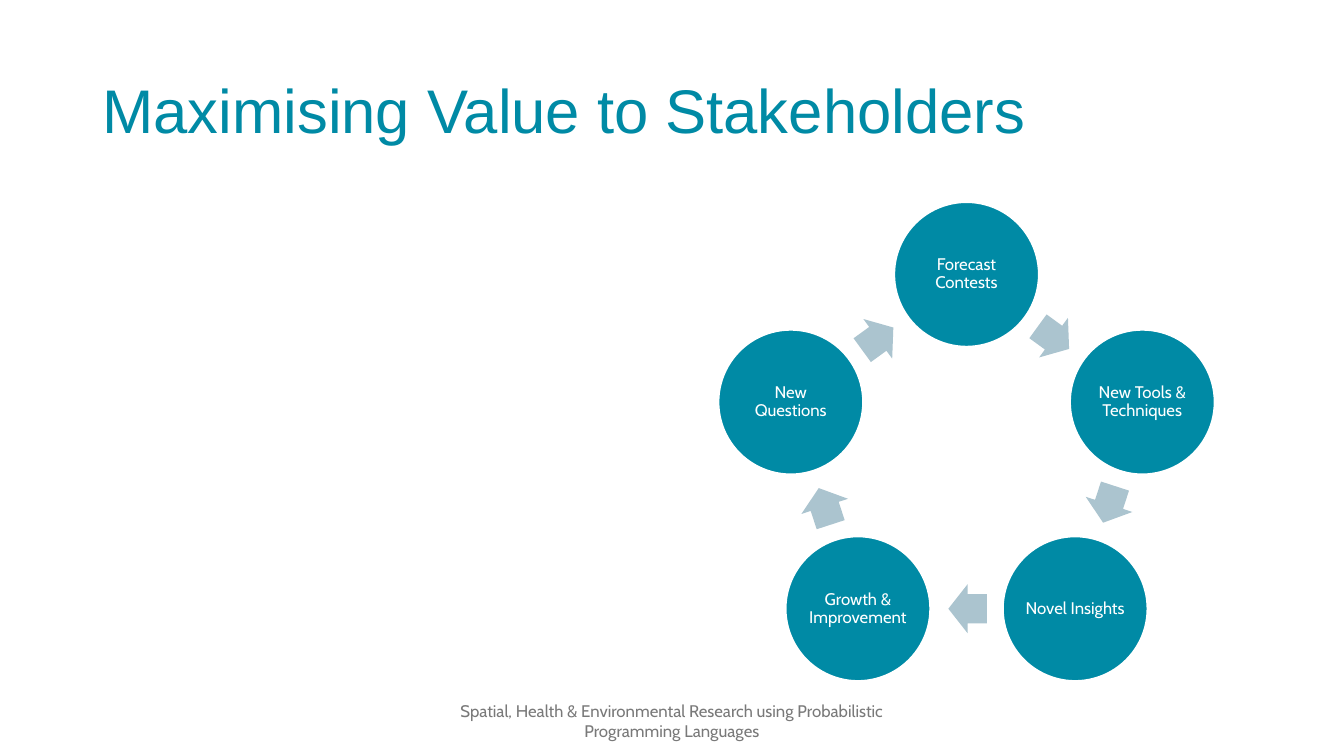
"""Build the stakeholder value slide with its five-step cycle."""
from dataclasses import dataclass
from math import cos, radians, sin

from pptx import Presentation
from pptx.dml.color import RGBColor
from pptx.enum.shapes import MSO_SHAPE
from pptx.enum.text import MSO_ANCHOR, PP_ALIGN
from pptx.util import Pt


@dataclass(frozen=True)
class Theme:
    teal: RGBColor = RGBColor.from_string("008AA5")
    arrow: RGBColor = RGBColor.from_string("ABC4CF")
    white: RGBColor = RGBColor.from_string("FFFFFF")
    grey: RGBColor = RGBColor.from_string("797979")
    title_font: str = "Arial"
    body_font: str = "Cabin"
    title_size: int = 44
    body_size: int = 12


theme = Theme()


def write_text(shape, text, font, size, color, alignment, line_spacing=1.0):
    frame = shape.text_frame
    frame.word_wrap = True
    frame.vertical_anchor = MSO_ANCHOR.MIDDLE
    paragraph = frame.paragraphs[0]
    paragraph.alignment = alignment
    paragraph.line_spacing = line_spacing
    run = paragraph.add_run()
    run.text = text
    run.font.name = font
    run.font.size = Pt(size)
    run.font.color.rgb = color


def add_cycle_shape(slide, kind, angle, radius, width, height, color):
    center_x = 690.4 + radius * sin(radians(angle))
    center_y = 328 - radius * cos(radians(angle))
    shape = slide.shapes.add_shape(
        kind, Pt(center_x - width / 2), Pt(center_y - height / 2), Pt(width), Pt(height))
    shape.shadow.inherit = False
    shape.fill.solid()
    shape.fill.fore_color.rgb = color
    return shape


presentation = Presentation()
presentation.slide_width = Pt(960)
presentation.slide_height = Pt(540)
slide = presentation.slides.add_slide(presentation.slide_layouts[6])

title = slide.shapes.add_textbox(Pt(66), Pt(28.75), Pt(828), Pt(104.4))
write_text(title, "Maximising Value to Stakeholders", theme.title_font,
           theme.title_size, theme.teal, PP_ALIGN.LEFT, 0.9)

steps = ["Forecast Contests", "New Tools & Techniques", "Novel Insights",
         "Growth & Improvement", "New Questions"]
step_angle = 360 / len(steps)
cycle_radius = 132
arrow_radius = cycle_radius * cos(radians(step_angle / 2))

for index, step in enumerate(steps):
    angle = index * step_angle
    circle = add_cycle_shape(slide, MSO_SHAPE.OVAL, angle, cycle_radius,
                             103.5, 103.5, theme.teal)
    circle.line.color.rgb = theme.white
    circle.line.width = Pt(1.5)
    frame = circle.text_frame
    frame.margin_left = frame.margin_right = Pt(1.2)
    frame.margin_top = frame.margin_bottom = Pt(1.2)
    write_text(circle, step, theme.body_font, theme.body_size,
               theme.white, PP_ALIGN.CENTER, 0.9)

    arrow_angle = angle + step_angle / 2
    arrow = add_cycle_shape(slide, MSO_SHAPE.RIGHT_ARROW, arrow_angle - 0.4,
                            arrow_radius, 27.5, 35, theme.arrow)
    arrow.line.fill.background()
    arrow.rotation = arrow_angle
    arrow.adjustments[0] = 0.6
    arrow.adjustments[1] = 0.5

footer = slide.shapes.add_textbox(Pt(318), Pt(500.5), Pt(324), Pt(28.75))
write_text(footer,
           "Spatial, Health & Environmental Research using Probabilistic Programming Languages",
           theme.body_font, theme.body_size, theme.grey, PP_ALIGN.CENTER)

presentation.save("out.pptx")
